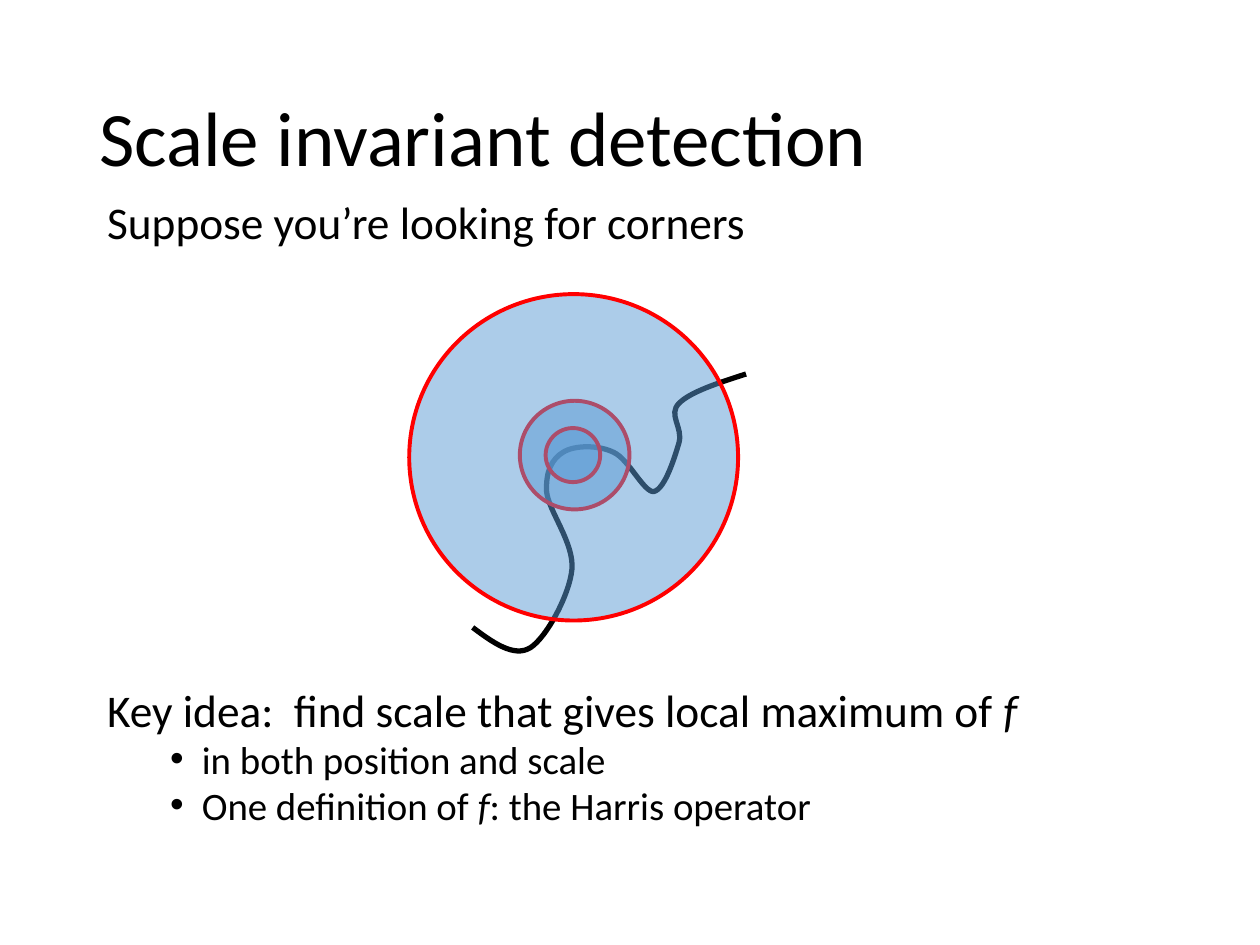
import pptx
import pptx.dml.color
import pptx.enum.shapes
import pptx.enum.text
import pptx.oxml
import pptx.oxml.ns
import pptx.util
from pptx.util import Cm

FONT, BULLET_FONT = "Calibri", "Arial"
BLACK, RED, BLUE = "000000", "FF0000", "5B9BD5"

# Content: a paragraph is (style, [(text, italic), ...])
TITLE = [("title", [("Scale invariant detection", False)])]
BODY = [
    ("opening", [("Suppose you’re looking for corners", False)]),
    ("key idea", [("Key idea:  find scale that gives local maximum of ", False),
                  ("f", True)]),
    ("bullet", [("in both position and scale", False)]),
    ("bullet", [("One definition of ", False), ("f", True),
                (": the Harris operator", False)]),
]

# Style: size, line spacing, space before (points), left margin, indent (cm)
# The key idea leaves room above it for the drawing
STYLES = {
    "title": (44, 0.9, 0, 0, 0),
    "opening": (25.9, 0.8, 0, 0.64, -0.64),
    "key idea": (25.9, 0.8, 253.5, 0.64, -0.64),
    "bullet": (22.2, 0.8, 5, 1.91, -0.64),
}

# Circles, back to front: left, top, width, height (cm)
CIRCLES = [
    (10.48, 8.08, 2.21, 2.19),
    (11, 8.63, 1.1, 1.09),
    (8.25, 5.93, 6.63, 6.58),
]

# Contour: a start point, then cubic Bézier pieces (cm)
CONTOUR_START = (9.53, 12.65)
CONTOUR_PIECES = [
    [(9.93, 12.95), (10.36, 13.26), (10.69, 13.06)],
    [(11.02, 12.85), (11.48, 11.99), (11.53, 11.48)],
    [(11.58, 10.95), (11.05, 10.29), (11.02, 9.91)],
    [(11.0, 9.5), (11.13, 9.25), (11.35, 9.12)],
    [(11.58, 8.97), (12.07, 8.97), (12.37, 9.12)],
    [(12.67, 9.25), (12.98, 9.93), (13.18, 9.91)],
    [(13.41, 9.86), (13.61, 9.19), (13.69, 8.92)],
    [(13.77, 8.61), (13.46, 8.36), (13.69, 8.13)],
    [(13.92, 7.9), (14.48, 7.72), (15.04, 7.54)],
]


def color(value):
    return pptx.dml.color.RGBColor.from_string(value)


def element(tag, attributes):
    names = pptx.oxml.ns.nsdecls("a")
    return pptx.oxml.parse_xml(f"<a:{tag} {names} {attributes}/>")


def set_line(shape, value, width):
    shape.shadow.inherit = False
    shape.line.color.rgb = color(value)
    shape.line.width = pptx.util.Pt(width)


def add_text(page, paragraphs, place, anchor):
    box = page.shapes.add_textbox(*map(Cm, place))
    frame = box.text_frame
    frame.word_wrap = True
    frame.vertical_anchor = anchor
    for index, (style, spans) in enumerate(paragraphs):
        size, spacing, before, margin, indent = STYLES[style]
        para = frame.paragraphs[0] if index == 0 else frame.add_paragraph()
        properties = para._p.get_or_add_pPr()
        properties.set("marL", str(Cm(margin)))
        properties.set("indent", str(Cm(indent)))
        if style == "bullet":
            properties.append(element("buFont", f'typeface="{BULLET_FONT}"'))
            properties.append(element("buChar", 'char="•"'))
        para.line_spacing = spacing
        para.space_before = pptx.util.Pt(before)
        for text, italic in spans:
            span = para.add_run()
            span.text = text
            span.font.name = FONT
            span.font.size = pptx.util.Pt(size)
            span.font.italic = italic
            span.font.color.rgb = color(BLACK)


def add_circle(page, place):
    """Group a half transparent disc with the ring around it."""
    group = page.shapes.add_group_shape()
    disc, ring = [
        group.shapes.add_shape(pptx.enum.shapes.MSO_SHAPE.OVAL, *map(Cm, place))
        for part in ("disc", "ring")]
    disc.fill.solid()
    disc.fill.fore_color.rgb = color(BLUE)
    fill = disc._element.spPr.find(".//" + pptx.oxml.ns.qn("a:srgbClr"))
    fill.append(element("alpha", 'val="50000"'))
    set_line(disc, BLACK, 0.75)
    ring.fill.background()
    set_line(ring, RED, 2.25)


def add_contour(page):
    points = [tuple(map(Cm, point)) for piece in CONTOUR_PIECES for point in piece]
    builder = page.shapes.build_freeform(*map(Cm, CONTOUR_START))
    builder.add_line_segments(points, close=False)
    contour = builder.convert_to_shape()
    # Turn each three straight segments into one cubic curve
    segments = list(contour._element.iter(pptx.oxml.ns.qn("a:lnTo")))
    for first in range(0, len(segments), 3):
        curve = element("cubicBezTo", "")
        segments[first].addprevious(curve)
        for segment in segments[first:first + 3]:
            curve.append(segment[0])
            segment.getparent().remove(segment)
    contour.fill.background()
    set_line(contour, BLACK, 3)


def main():
    deck = pptx.Presentation()
    deck.slide_width, deck.slide_height = Cm(25.4), Cm(19.05)
    page = deck.slides.add_slide(deck.slide_layouts[6])
    anchors = pptx.enum.text.MSO_ANCHOR

    # Contour and title lie behind the circles
    add_contour(page)
    add_text(page, TITLE, (1.75, 1.02, 21.89, 3.68), anchors.MIDDLE)
    for place in CIRCLES:
        add_circle(page, place)
    add_text(page, BODY, (1.91, 4.01, 21.59, 13.97), anchors.TOP)

    deck.save("out.pptx")


if __name__ == "__main__":
    main()
